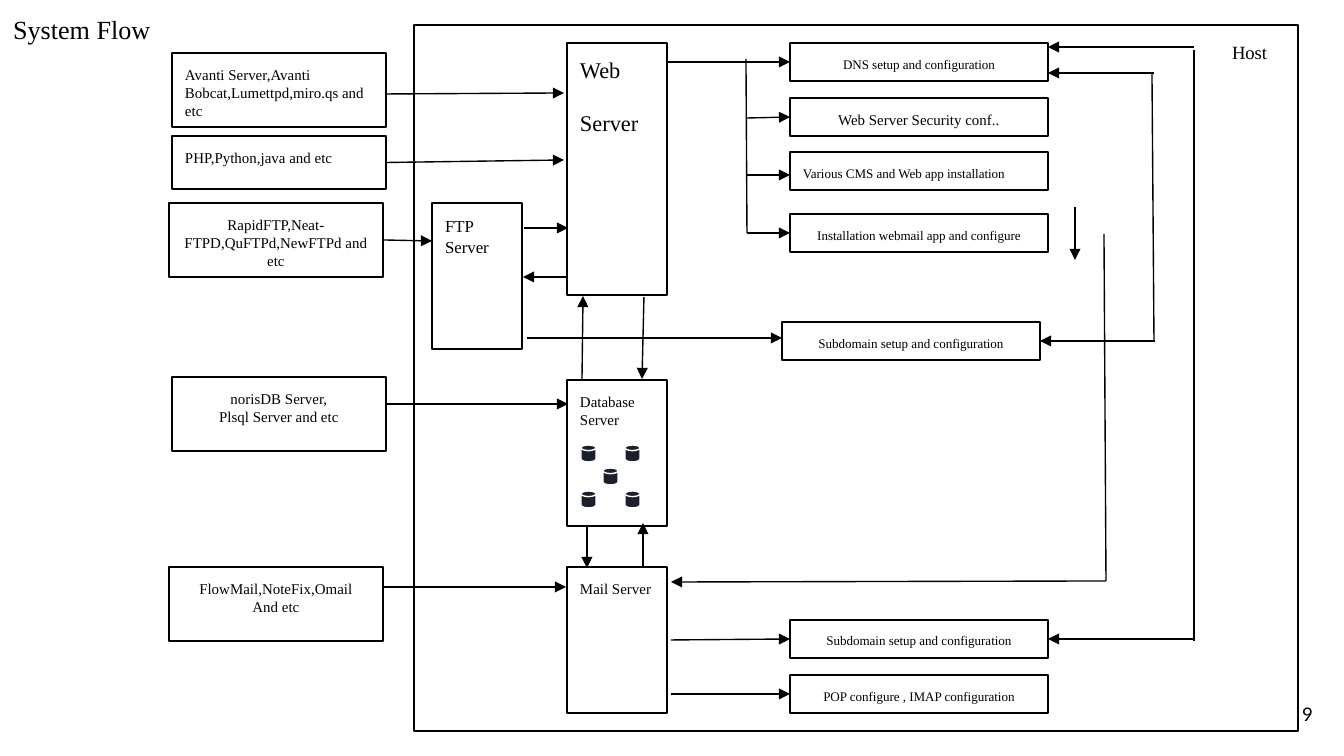
from dataclasses import dataclass

from lxml import etree
from pptx import Presentation
from pptx.dml.color import RGBColor
from pptx.enum.shapes import MSO_CONNECTOR, MSO_SHAPE
from pptx.enum.text import MSO_ANCHOR, PP_ALIGN
from pptx.oxml.ns import qn
from pptx.util import Pt

RECT = MSO_SHAPE.RECTANGLE
DISK = MSO_SHAPE.FLOWCHART_MAGNETIC_DISK
STRAIGHT = MSO_CONNECTOR.STRAIGHT
LEFT, CENTER, RIGHT = PP_ALIGN.LEFT, PP_ALIGN.CENTER, PP_ALIGN.RIGHT
TOP, MIDDLE = MSO_ANCHOR.TOP, MSO_ANCHOR.MIDDLE
LEFT_SIDE, RIGHT_SIDE = 1, 3

SLIDE_W, SLIDE_H = 1344, 756
EMU_PER_PX = 9144000 / SLIDE_W
INSET = 13


@dataclass(frozen=True)
class Theme:
    ink: RGBColor = RGBColor(0, 0, 0)
    paper: RGBColor = RGBColor(255, 255, 255)
    disk: RGBColor = RGBColor(0x1B, 0x21, 0x2C)
    font: str = "Times New Roman"
    number_font: str = "Lato"
    line: float = 0.75
    title: int = 14
    heading: int = 12
    label: int = 10
    ftp: int = 9
    body: int = 8
    small: int = 7


THEME = Theme()


def px(n):
    return round(n * EMU_PER_PX)


def write(sp, lines, size, align=LEFT, anchor=TOP, font=THEME.font, gap=0, indent=INSET):
    """Fill a shape with one paragraph per line; gap is the space between them in points."""
    tf = sp.text_frame
    tf.word_wrap = True
    tf.vertical_anchor = anchor
    tf.margin_left = px(indent)
    tf.margin_top = tf.margin_right = tf.margin_bottom = px(INSET)
    for i, line in enumerate(lines):
        p = tf.paragraphs[0] if i == 0 else tf.add_paragraph()
        p.text = line
        p.alignment = align
        p.space_before = Pt(gap if i else 0)
        p.font.name = font
        p.font.size = Pt(size)
        p.font.color.rgb = THEME.ink


def add_box(s, x, y, w, h, kind=RECT, fill=None, line=THEME.ink):
    sp = s.shapes.add_shape(kind, px(x), px(y), px(w), px(h))
    sp.shadow.inherit = False
    if fill is None:
        sp.fill.background()
    else:
        sp.fill.solid()
        sp.fill.fore_color.rgb = fill
    if line is None:
        sp.line.fill.background()
    else:
        sp.line.color.rgb = line
        sp.line.width = Pt(THEME.line)
    return sp


def add_link(s, start, end, arrow=True):
    """Draw a line; each end is an (x, y) point or a (shape, side) pair."""
    points = [e if isinstance(e[0], int) else (0, 0) for e in (start, end)]
    cn = s.shapes.add_connector(STRAIGHT, *(px(v) for point in points for v in point))
    if not isinstance(start[0], int):
        cn.begin_connect(*start)
    if not isinstance(end[0], int):
        cn.end_connect(*end)
    cn.line.color.rgb = THEME.ink
    cn.line.width = Pt(THEME.line)
    props = cn.element.spPr
    if arrow:
        etree.SubElement(props.find(qn("a:ln")), qn("a:tailEnd"), type="triangle")
    etree.SubElement(props, qn("a:effectLst"))


def add_title(s):
    title = s.shapes.title
    title.left, title.top, title.width, title.height = px(0), px(0), px(202), px(44)
    write(title, ["System Flow"], THEME.title)


def add_servers(s):
    servers = [
        (567, 43, 100, 252, ["Web", "Server"], THEME.heading, THEME.heading + 2),
        (567, 380, 100, 146, ["Database", "Server"], THEME.body, 0),
        (567, 567, 100, 146, ["Mail Server"], THEME.body, 0),
        (432, 203, 90, 146, ["FTP", "Server"], THEME.ftp, 0),
    ]
    for x, y, w, h, lines, size, gap in servers:
        write(add_box(s, x, y, w, h), lines, size, gap=gap)


def add_software(s):
    """Add the boxes left of the host and return them by role."""
    rows = [
        ("web", 172, 53, 74, LEFT, ["Avanti Server,Avanti Bobcat,Lumettpd,miro.qs and etc"]),
        ("language", 172, 136, 53, LEFT, ["PHP,Python,java and etc"]),
        ("ftp", 169, 203, 74, CENTER, ["RapidFTP,Neat-FTPD,QuFTPd,NewFTPd and etc"]),
        ("database", 172, 377, 74, CENTER, ["norisDB Server,", "Plsql Server and etc"]),
        ("mail", 169, 567, 74, CENTER, ["FlowMail,NoteFix,Omail", "And etc"]),
    ]
    boxes = {}
    for role, x, y, h, align, lines in rows:
        boxes[role] = add_box(s, x, y, 214, h)
        write(boxes[role], lines, THEME.body, align)
    return boxes


def add_tasks(s):
    """Add the setup boxes on the right and return them by role."""
    rows = [
        ("dns", 790, 43, "DNS setup and configuration", THEME.small, CENTER),
        ("security", 790, 98, "Web Server Security conf..", THEME.body, CENTER),
        ("cms", 790, 152, "Various CMS and Web app installation", THEME.small, LEFT),
        ("webmail", 790, 214, "Installation webmail app and configure", THEME.small, CENTER),
        ("ftp", 782, 322, "Subdomain setup and configuration", THEME.small, CENTER),
        ("mail", 790, 620, "Subdomain setup and configuration", THEME.small, CENTER),
        ("pop", 790, 675, "POP configure , IMAP configuration", THEME.small, CENTER),
    ]
    boxes = {}
    for role, x, y, text, size, align in rows:
        boxes[role] = add_box(s, x, y, 258, 38)
        write(boxes[role], [text], size, align)
    return boxes


def add_links(s, software, tasks):
    arrows = [
        # software to servers
        ((385, 94), (564, 93)),
        ((software["language"], RIGHT_SIDE), (564, 160)),
        ((software["ftp"], RIGHT_SIDE), (432, 241)),
        ((387, 404), (568, 404)),
        ((384, 587), (566, 587)),
        # between servers
        ((524, 228), (568, 228)),
        ((568, 277), (523, 277)),
        ((644, 297), (642, 379)),
        ((582, 379), (583, 296)),
        ((587, 527), (587, 568)),
        ((643, 567), (643, 523)),
        # servers to tasks
        ((668, 62), (tasks["dns"], LEFT_SIDE)),
        ((747, 118), (tasks["security"], LEFT_SIDE)),
        ((747, 175), (790, 175)),
        ((747, 233), (tasks["webmail"], LEFT_SIDE)),
        ((527, 338), (782, 338)),
        ((671, 640), (tasks["mail"], LEFT_SIDE)),
        ((671, 694), (tasks["pop"], LEFT_SIDE)),
        # return routes on the right
        ((1194, 47), (1048, 47)),
        ((1154, 73), (1048, 73)),
        ((1155, 341), (tasks["ftp"], RIGHT_SIDE)),
        ((1194, 639), (tasks["mail"], RIGHT_SIDE)),
        ((1106, 581), (671, 582)),
        ((1075, 207), (1075, 260)),
    ]
    trunks = [
        ((746, 59), (747, 233)),
        ((1104, 234), (1106, 581)),
        ((1152, 73), (1154, 340)),
        ((1194, 50), (1194, 641)),
    ]
    for start, end in arrows:
        add_link(s, start, end)
    for start, end in trunks:
        add_link(s, start, end, arrow=False)


def add_disks(s):
    x, y, dx, dy = 581, 445, 22, 23
    for col, row in [(0, 0), (1, 1), (2, 2), (2, 0), (0, 2)]:
        add_box(s, x + col * dx, y + row * dy, 15, 17, DISK, THEME.disk, THEME.paper)


def add_page_number(s):
    tb = s.shapes.add_textbox(px(1246), px(685), px(80), px(58))
    write(tb, ["9"], THEME.label, RIGHT, MIDDLE, THEME.number_font)


def main():
    prs = Presentation()
    prs.slide_width, prs.slide_height = px(SLIDE_W), px(SLIDE_H)
    s = prs.slides.add_slide(prs.slide_layouts[5])
    add_title(s)
    add_box(s, 414, 25, 884, 706)
    add_servers(s)
    add_links(s, add_software(s), add_tasks(s))
    add_disks(s)
    host = add_box(s, 1200, 28, 90, 38, fill=THEME.paper, line=None)
    write(host, ["Host"], THEME.label, indent=32)
    add_page_number(s)
    prs.save("out.pptx")


if __name__ == "__main__":
    main()
